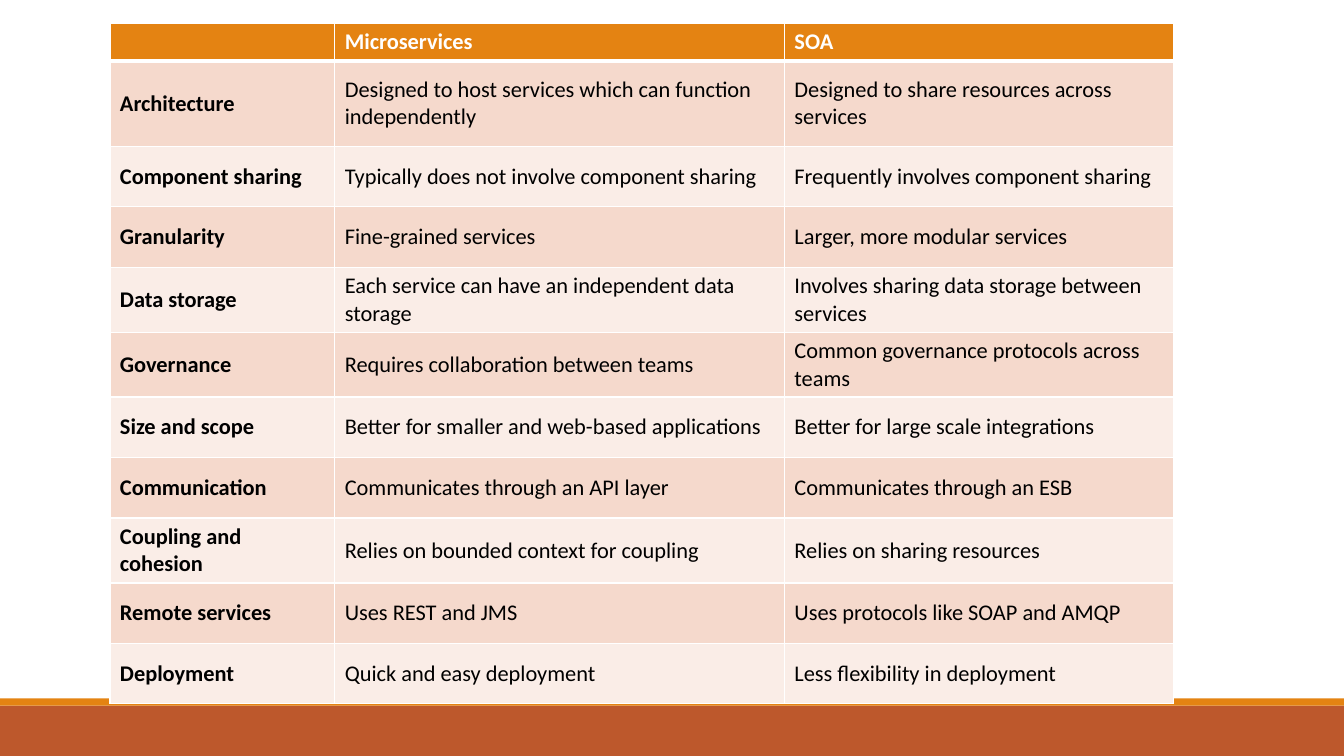
from lxml import etree
from pptx import Presentation
from pptx.dml.color import RGBColor
from pptx.enum import shapes, text
from pptx.oxml import ns
from pptx.util import Inches, Pt

WHITE = RGBColor(0xFF, 0xFF, 0xFF)
BLACK = RGBColor(0, 0, 0)
ORANGE = RGBColor(0xE4, 0x83, 0x12)
RUST = RGBColor(0xBD, 0x58, 0x2C)
BANDS = (RGBColor(0xF5, 0xD9, 0xCC), RGBColor(0xFA, 0xED, 0xE7))

FONT = "Calibri"
TEXT_SIZE = Pt(16)
PAGE_WIDTH, PAGE_HEIGHT = 13.33, 7.5
COLUMN_WIDTHS = (2.23, 4.46, 3.86)
HEADER_HEIGHT, FIRST_ROW_HEIGHT, ROW_HEIGHT = 0.34, 0.85, 0.6

COMPARISON = (
    ("", "Microservices", "SOA"),
    ("Architecture", "Designed to host services which can function independently",
     "Designed to share resources across services"),
    ("Component sharing", "Typically does not involve component sharing",
     "Frequently involves component sharing"),
    ("Granularity", "Fine-grained services", "Larger, more modular services"),
    ("Data storage", "Each service can have an independent data storage",
     "Involves sharing data storage between services"),
    ("Governance", "Requires collaboration between teams",
     "Common governance protocols across teams"),
    ("Size and scope", "Better for smaller and web-based applications",
     "Better for large scale integrations"),
    ("Communication", "Communicates through an API layer",
     "Communicates through an ESB"),
    ("Coupling and cohesion", "Relies on bounded context for coupling",
     "Relies on sharing resources"),
    ("Remote services", "Uses REST and JMS", "Uses protocols like SOAP and AMQP"),
    ("Deployment", "Quick and easy deployment", "Less flexibility in deployment"),
)


def write_text(para, words, size=TEXT_SIZE, color=BLACK, bold=False):
    if not words:
        # An empty cell still needs its text size, which sets the row height
        end = etree.SubElement(para._p, ns.qn("a:endParaRPr"))
        end.set("sz", str(int(size.pt * 100)))
        return
    span = para.add_run()
    span.text = words
    span.font.name = FONT
    span.font.size = size
    span.font.bold = bold
    span.font.color.rgb = color


def set_borders(cell, color=WHITE, bottom=1):
    properties = cell._tc.get_or_add_tcPr()
    widths = {"lnL": 1, "lnR": 1, "lnT": 1, "lnB": bottom}
    for position, (side, width) in enumerate(widths.items()):
        line = etree.Element(ns.qn(f"a:{side}"), w=str(Pt(width)))
        fill = etree.SubElement(line, ns.qn("a:solidFill"))
        etree.SubElement(fill, ns.qn("a:srgbClr"), val=str(color))
        properties.insert(position, line)


def add_footer(page, left, top, width, height, stripe=0.07):
    # Rust band with a thin orange stripe on top of it
    for y, tall, color in ((top, height, RUST), (top - stripe, stripe, ORANGE)):
        band = page.shapes.add_shape(
            shapes.MSO_SHAPE.RECTANGLE,
            Inches(left), Inches(y), Inches(width), Inches(tall))
        band.shadow.inherit = False
        band.fill.solid()
        band.fill.fore_color.rgb = color
        band.line.fill.background()


def add_comparison(page, left, top, width, height):
    frame = page.shapes.add_table(
        len(COMPARISON), len(COLUMN_WIDTHS),
        Inches(left), Inches(top), Inches(width), Inches(height))
    table = frame.table

    # Column widths and row heights
    for column, share in zip(table.columns, COLUMN_WIDTHS):
        column.width = Inches(width * share / sum(COLUMN_WIDTHS))
    special_heights = {0: HEADER_HEIGHT, 1: FIRST_ROW_HEIGHT}
    for index, row in enumerate(table.rows):
        row.height = Inches(special_heights.get(index, ROW_HEIGHT))

    # Cells: orange header, then alternating bands
    for r, entries in enumerate(COMPARISON):
        header = r == 0
        for c, words in enumerate(entries):
            cell = table.cell(r, c)
            cell.vertical_anchor = text.MSO_ANCHOR.MIDDLE
            cell.fill.solid()
            cell.fill.fore_color.rgb = ORANGE if header else BANDS[(r - 1) % 2]
            set_borders(cell, bottom=3 if header else 1)
            write_text(cell.text_frame.paragraphs[0], words,
                       color=WHITE if header else BLACK, bold=header or c == 0)


def main():
    deck = Presentation()
    deck.slide_width = Inches(PAGE_WIDTH)
    deck.slide_height = Inches(PAGE_HEIGHT)
    page = deck.slides.add_slide(deck.slide_layouts[6])
    add_footer(page, 0, 7, PAGE_WIDTH, 0.5)
    add_comparison(page, 1.09, 0.23, sum(COLUMN_WIDTHS), 6.69)
    deck.save("out.pptx")


if __name__ == "__main__":
    main()
